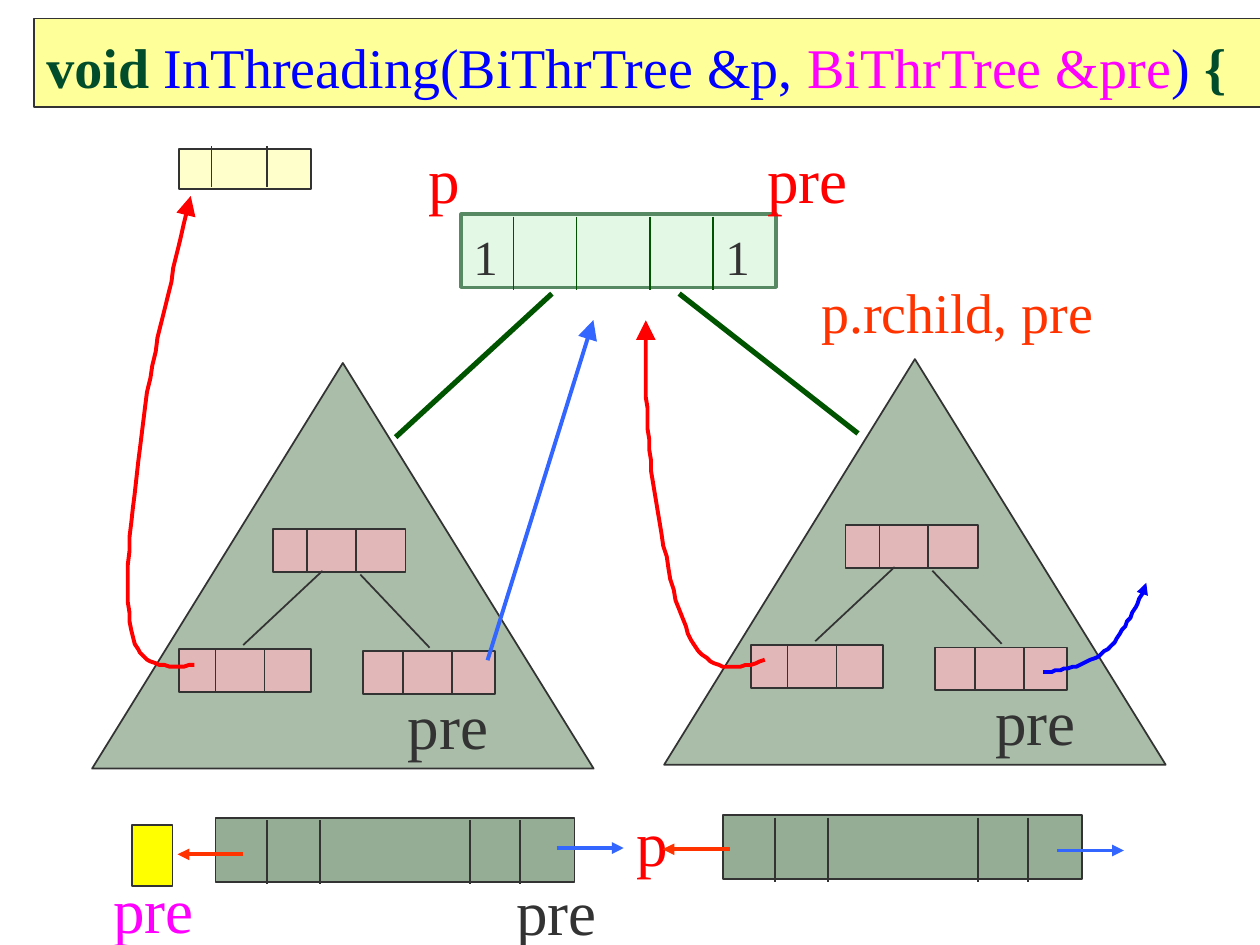
from lxml import etree
from pptx import Presentation
from pptx.dml.color import RGBColor
from pptx.enum.shapes import MSO_CONNECTOR as Connector, MSO_SHAPE as Shape
from pptx.enum.text import MSO_ANCHOR as Anchor, PP_ALIGN as Align
from pptx.oxml.ns import qn
from pptx.util import Pt

FONT = "Times New Roman"
INK, GREEN, RED, ORANGE = "333333", "005400", "FF0000", "FF3300"
BLUE, DEEP_BLUE, MAGENTA, CODE = "3366FF", "0000FF", "FF00FF", "004C2B"

# Content: runs are (text, colour, bold)
TITLE = [("void ", CODE, True), ("InThreading(BiThrTree &p, ", DEEP_BLUE, False),
         ("BiThrTree &pre", MAGENTA, False), (") ", DEEP_BLUE, False), ("{", CODE, True)]

# Labels: text, left, top, width, height, size, colour
LABELS = [
    ("pre", 288, 491, 74, 51, 36, INK),
    ("p.rchild, pre", 462.2, 151.2, 176.4, 46, 32, ORANGE),
    ("1", 263.5, 122.4, 36, 41, 28, INK),
    ("1", 407.5, 122.4, 36, 41, 28, INK),
    ("p", 237.6, 72.7, 66, 50, 36, RED),
    ("p", 356.4, 451.4, 51, 50, 36, RED),
    ("pre", 226, 384.5, 75, 36, 36, INK),
    ("pre", 431.3, 72.7, 74, 50, 36, RED),
    ("pre", 57.6, 489.6, 74, 50, 36, MAGENTA),
    ("pre", 561.6, 382.3, 75, 36, 36, INK),
]

# Subtree: drawn at each (dx, dy)
SUBTREE_OFFSETS = [(0, 0), (326.9, -2.2)]
TRIANGLE = (52.6, 207.4, 286.6, 231.8)
SUBTREE_NODES = [(156.2, 302.4, 19.4), (102.2, 370.8, 20.9), (207.4, 372.2, 23)]
BRANCHES = [(184.3, 326.2, 139, 368.6), (205.9, 328.3, 245.5, 370.1)]
NODE_SIZE, NODE_FIELD = (75.6, 24.5), 28

# Large links and arrows: x1, y1, x2, y2
ROOT_LINKS = [(315.4, 167.8, 226.1, 249.8), (388.1, 167.8, 490.3, 247.7)]
BARS = [(123.1, 467.3), (413.3, 465.8)]
ARROWS = [
    ((318.2, 484.6, 356.4, 484.6), BLUE, "med"),
    ((604.1, 486, 642.2, 486), BLUE, "med"),
    ((416.9, 485.3, 378.7, 485.3), ORANGE, "med"),
    ((139, 488.2, 101.5, 488.2), ORANGE, "med"),
    ((278.6, 377.3, 339.1, 182.9), BLUE, "lg"),
]

# Threads: start point, then cubic segments of two controls and an end
THREADS = [
    (RED, "lg", [(437, 377.3), (422.6, 381.6), (407.5, 385.2), (397.4, 369.4),
                 (386.6, 353.5), (378.7, 311.8), (373.7, 280.8),
                 (369.4, 249.8), (368.6, 216.7), (368.6, 182.9)]),
    (DEEP_BLUE, "med", [(596.2, 384.5), (609.1, 382.3), (621.4, 380.2), (631.4, 372.2),
                        (641.5, 363.6), (648, 348.5), (655.2, 333.4)]),
    (RED, "lg", [(110.9, 380.2), (95, 381.6), (79.9, 383), (74.9, 360),
                 (69.8, 337), (76.3, 281.5), (82.1, 239.8),
                 (87.8, 198.7), (98.6, 155.5), (109.4, 112.3)]),
]

presentation = Presentation()
presentation.slide_width, presentation.slide_height = Pt(720), Pt(540)
slide = presentation.slides.add_slide(presentation.slide_layouts[6])
shapes = slide.shapes


def color(value):
    return RGBColor.from_string(value)


def set_line(line, value, width, arrow=None):
    line.color.rgb = color(value)
    line.width = Pt(width)
    if arrow:
        properties = line._get_or_add_ln()
        etree.SubElement(properties, qn("a:tailEnd"), type="triangle", w=arrow, len=arrow)


def add_box(kind, left, top, width, height, fill, line=INK, weight=1):
    shape = shapes.add_shape(kind, Pt(left), Pt(top), Pt(width), Pt(height))
    shape.shadow.inherit = False
    shape.fill.solid()
    shape.fill.fore_color.rgb = color(fill)
    set_line(shape.line, line, weight)
    return shape


def add_line(ends, value=INK, width=1, arrow=None):
    connector = shapes.add_connector(Connector.STRAIGHT, *map(Pt, ends))
    etree.SubElement(connector._element.spPr, qn("a:effectLst"))
    set_line(connector.line, value, width, arrow)


def add_record(left, top, size, fields, fill, line=INK, weight=1, shift=0, divider=INK):
    """A box cut into fields by vertical dividers at the given offsets."""
    box = add_box(Shape.RECTANGLE, left, top, *size, fill, line, weight)
    for offset in fields:
        x = left + offset
        add_line((x, top + shift, x, top + shift + size[1]), divider)
    return box


def add_thread(value, arrow, points, steps=16):
    trace = []
    for i in range(0, len(points) - 1, 3):
        for step in range(1, steps + 1):
            t = step / steps
            weights = ((1 - t) ** 3, 3 * t * (1 - t) ** 2, 3 * t * t * (1 - t), t ** 3)
            trace.append(tuple(sum(w * point[axis] for w, point in zip(weights, points[i:i + 4]))
                               for axis in (0, 1)))
    builder = shapes.build_freeform(*points[0], scale=Pt(1))
    builder.add_line_segments(trace, close=False)
    shape = builder.convert_to_shape()
    shape.shadow.inherit = False
    shape.fill.background()
    set_line(shape.line, value, 2.25, arrow)


def write(shape, runs, size, anchor=Anchor.TOP):
    frame = shape.text_frame
    frame.word_wrap = True
    frame.vertical_anchor = anchor
    paragraph = frame.paragraphs[0]
    paragraph.alignment = Align.LEFT
    paragraph.line_spacing = 1.1
    for text, value, bold in runs:
        run = paragraph.add_run()
        run.text = text
        for name, setting in {"name": FONT, "size": Pt(size), "bold": bold}.items():
            setattr(run.font, name, setting)
        run.font.color.rgb = color(value)


# Root node with its two links
for link in ROOT_LINKS:
    add_line(link, GREEN, 3)
root = add_record(263.5, 122.4, (180, 41.8), (30, 66, 108, 144), "CAF2CE",
                  "578963", 2, 1.4, GREEN)
root_fill = root._element.spPr.find(qn("a:solidFill"))
etree.SubElement(root_fill[0], qn("a:alpha"), val="50000")

# Subtrees
for dx, dy in SUBTREE_OFFSETS:
    left, top, width, height = TRIANGLE
    add_box(Shape.ISOSCELES_TRIANGLE, left + dx, top + dy, width, height, "A9BDA9")
    for left, top, first in SUBTREE_NODES:
        add_record(left + dx, top + dy, NODE_SIZE, (first, first + NODE_FIELD), "E1B7B7")
    for x1, y1, x2, y2 in BRANCHES:
        add_line((x1 + dx, y1 + dy, x2 + dx, y2 + dy))

# Loose records: head node, bottom bars, yellow cell
add_record(102.2, 85, (75.6, 23), (18.7, 50.4), "FFFFCC", shift=-1.4)
for left, top in BARS:
    add_record(left, top, (205.2, 36.7), (29.5, 59.8, 145.4, 174.2), "95AC95", shift=1.4)
add_box(Shape.RECTANGLE, 75.6, 471.6, 23, 34.6, "FFFF00")

# Title bar and labels
title = add_box(Shape.RECTANGLE, 19.5, 10.8, 703.5, 50.4, "FFFF99", weight=0.75)
write(title, TITLE, 32, Anchor.MIDDLE)
for text, left, top, width, height, size, value in LABELS:
    label = shapes.add_textbox(Pt(left), Pt(top), Pt(width), Pt(height))
    write(label, [(text, value, False)], size)

# Arrows and threads
for ends, value, arrow in ARROWS:
    add_line(ends, value, 2.25, arrow)
for thread in THREADS:
    add_thread(*thread)

presentation.save("out.pptx")
